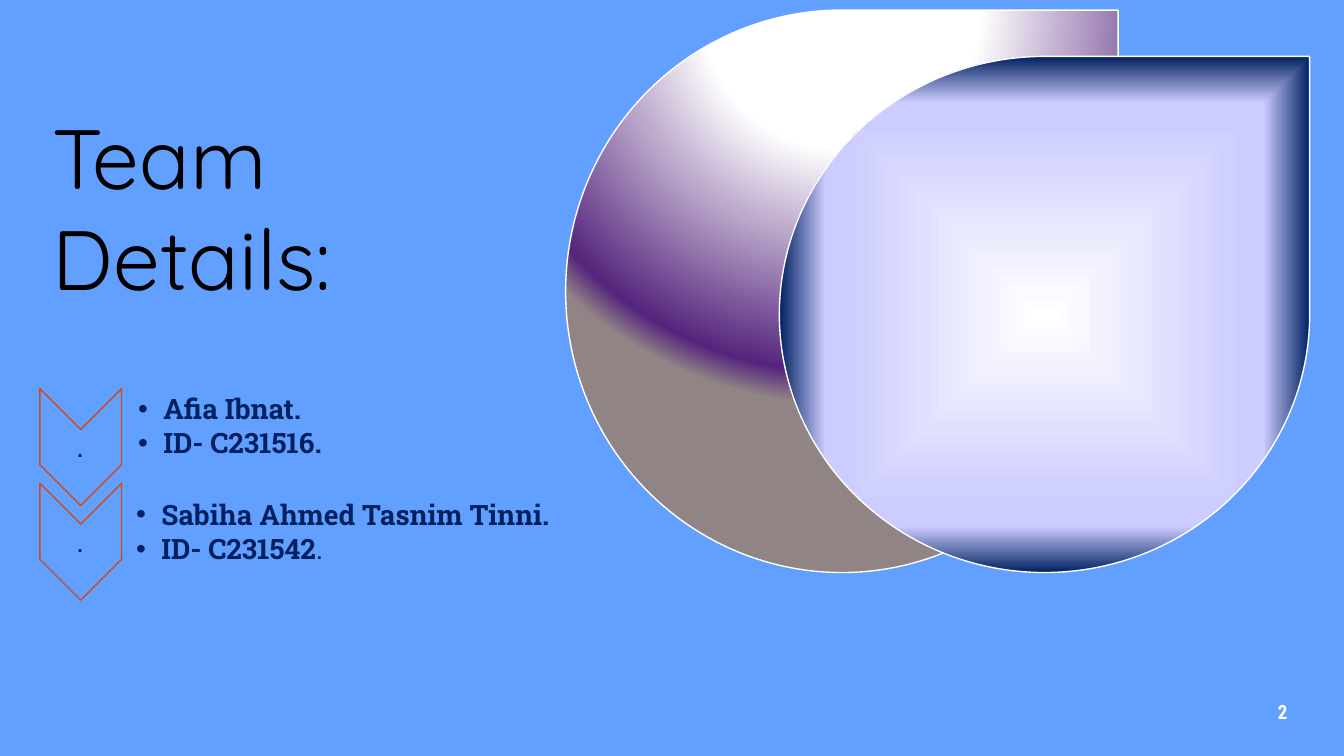
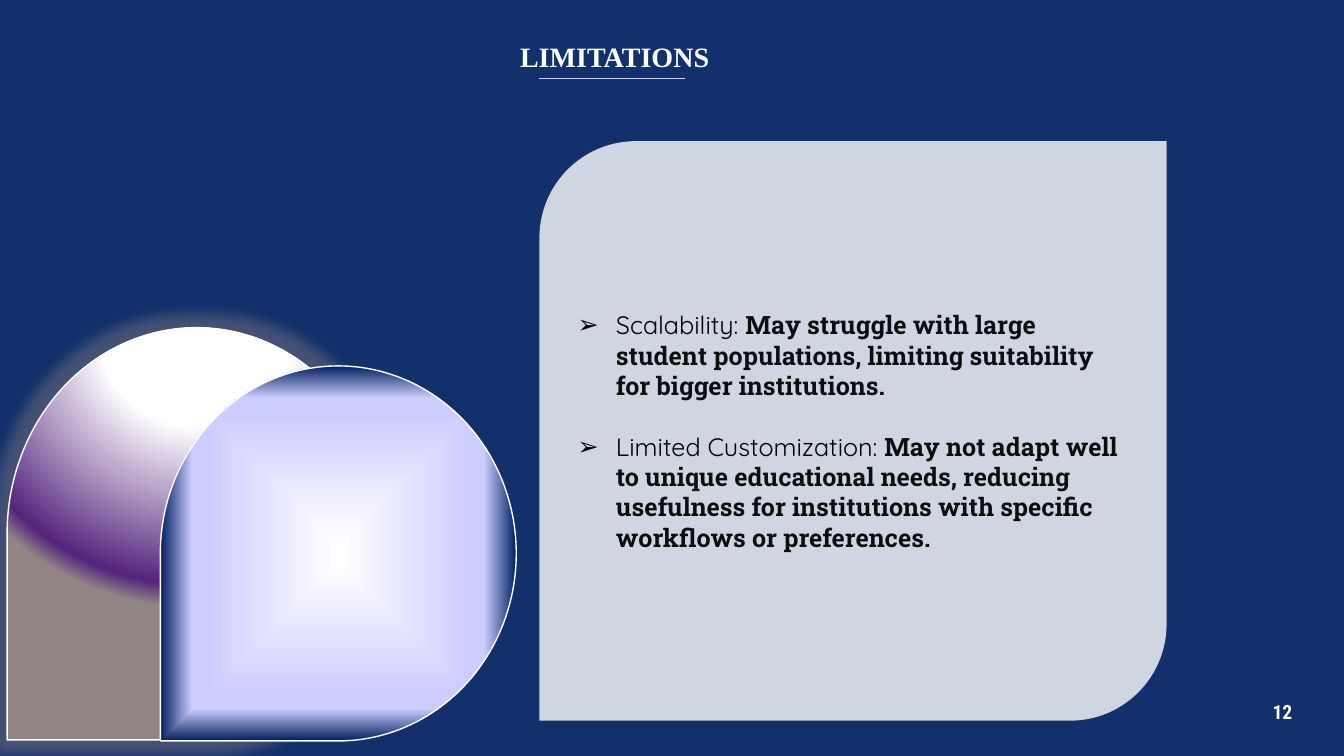
from lxml import etree
from pptx import Presentation
from pptx import util as u
from pptx.dml.color import RGBColor
from pptx.enum import shapes, text
from pptx.oxml import parse_xml
from pptx.oxml.ns import qn

# Shared look: all lengths in inches
WIDE, HIGH = 13.33, 7.5
WHITE, NAVY, LILAC, RUST = "FFFFFF", "002060", "CCCCFF", "D34817"
BLACK, INK, TAUPE = "000000", "0D0D0D", "918485"
SLAB, SANS = "Roboto Slab", "Quicksand"
KIND = shapes.MSO_SHAPE
MID = text.MSO_ANCHOR.MIDDLE
LEFT, CENTER = text.PP_ALIGN.LEFT, text.PP_ALIGN.CENTER
NS = 'xmlns:a="http://schemas.openxmlformats.org/drawingml/2006/main"'

# Gradients: kind of path, focus (left, top, right, bottom), stops
DUSK = ("circle", (50, -80, 50, 180),
        [(35, WHITE), (58, "BBA8CB"), (92, "55257D"), (100, TAUPE)])
GLASS = ("shape", (50, 50, 50, 50),
         [(0, WHITE), (74, LILAC), (82, LILAC), (100, NAVY)])

# Content
TEAM = {
    "page": "2", "back": ("0066FF", 0.62), "title": "Team Details:",
    "drops": [(5.61, 0.1, 5.48, 5.58), (7.73, 0.56, 5.26, 5.12)],
    "people": [
        (1.21, [[("Afia Ibnat.", {})], [("ID- C231516.", {})]]),
        (1.19, [[("Sabiha Ahmed Tasnim Tinni.", {})],
                [("ID- C231542", {}), (".", {"bold": False})]]),
    ],
}
LIMITS = {
    "page": "12", "back": (NAVY, 0.93), "title": "LIMITATIONS",
    "drops": [(0.07, 3.25, 3.76, 4.09), (1.59, 3.63, 3.53, 3.72)],
    "items": [
        ("Scalability: ", "May struggle with large student populations, "
         "limiting suitability for bigger institutions."),
        ("Limited Customization: ", "May not adapt well to unique educational "
         "needs, reducing usefulness for institutions with specific workflows "
         "or preferences."),
    ],
}


def rgb(code):
    return RGBColor.from_string(code)


def tint(code, share):
    """Mix a colour with white, keeping the given share of it."""
    parts = (int(code[i:i + 2], 16) for i in (0, 2, 4))
    return "".join(f"{round(p * share + 255 * (1 - share)):02X}" for p in parts)


def box(at):
    return [u.Inches(v) for v in at]


def write(frame, paras, size=18, face=SLAB, color=BLACK, bold=False, align=LEFT,
          anchor=text.MSO_ANCHOR.TOP, pads=(0.1, 0.05, 0.1, 0.05), bullet=None,
          indent=0, gap=0, lines=None):
    """Fill a frame; each paragraph is a list of (words, format) runs."""
    frame.word_wrap, frame.vertical_anchor = True, anchor
    (frame.margin_left, frame.margin_top,
     frame.margin_right, frame.margin_bottom) = box(pads)
    if isinstance(paras, str):
        paras = [[(paras, {})]]
    for i, runs in enumerate(paras):
        para = frame.add_paragraph() if i else frame.paragraphs[0]
        if bullet:
            props = para._p.get_or_add_pPr()
            props.set("marL", str(u.Inches(indent)))
            props.set("indent", str(-u.Inches(indent)))
            etree.SubElement(props, qn("a:buFont")).set("typeface", "Arial")
            etree.SubElement(props, qn("a:buChar")).set("char", bullet)
        para.alignment = align
        if lines:
            para.line_spacing = lines
        if i:
            para.space_before = u.Pt(gap)
        for words, style in runs:
            run = para.add_run()
            run.text = words
            font = run.font
            font.size = u.Pt(size)
            font.name = style.get("face", face)
            font.bold = style.get("bold", bold)
            font.color.rgb = rgb(style.get("color", color))


def label(slide, at, paras, **style):
    write(slide.shapes.add_textbox(*box(at)).text_frame, paras, **style)


def shape(slide, kind, at, line=None, turn=0):
    """Add an unfilled preset shape without shadow."""
    part = slide.shapes.add_shape(kind, *box(at))
    part.shadow.inherit = False
    part.rotation = turn
    part.fill.background()
    if line:
        part.line.color.rgb = rgb(line)
        part.line.width = u.Pt(1)
    else:
        part.line.fill.background()
    return part


def drop(slide, at, grad, turn=0, glow=0):
    """Teardrop with a path gradient that stays upright when turned."""
    part = shape(slide, KIND.TEAR, at, WHITE, turn)
    props = part._element.spPr
    path, focus, stops = grad
    marks = "".join(f'<a:gs pos="{pos * 1000}"><a:srgbClr val="{code}"/></a:gs>'
                    for pos, code in stops)
    edges = " ".join(f'{side}="{v * 1000}"' for side, v in zip("ltrb", focus))
    props.replace(props.find(qn("a:noFill")), parse_xml(
        f'<a:gradFill {NS} rotWithShape="0"><a:gsLst>{marks}</a:gsLst>'
        f'<a:path path="{path}"><a:fillToRect {edges}/></a:path></a:gradFill>'))
    if glow:
        props.find(qn("a:effectLst")).append(parse_xml(
            f'<a:glow {NS} rad="{u.Pt(glow)}"><a:srgbClr val="{TAUPE}">'
            '<a:alpha val="40000"/></a:srgbClr></a:glow>'))


def start(deck, data, turn=0, glow=0):
    """New slide with background, two teardrops and page number."""
    slide = deck.slides.add_slide(deck.slide_layouts[6])
    fill = slide.background.fill
    fill.solid()
    fill.fore_color.rgb = rgb(tint(*data["back"]))
    rear, front = data["drops"]
    drop(slide, rear, DUSK, turn, glow)
    drop(slide, front, GLASS, turn)
    label(slide, (12.37, 6.86, 0.7, 0.4), data["page"], size=14, bold=True,
          face="Roboto Condensed", color=WHITE, align=CENTER, anchor=MID)
    return slide


def team(deck):
    slide = start(deck, TEAM)
    label(slide, (0.42, 1, 3.59, 2.12), TEAM["title"], size=60, face=SANS)
    # One chevron row per person
    for row, (left, facts) in enumerate(TEAM["people"]):
        top = 4.03 + row * 0.94
        shape(slide, KIND.CHEVRON, (0.22, top, 1.16, 0.81), RUST, 90)
        label(slide, (0.39, top + 0.24, 0.81, 0.35), ".", size=21, color=NAVY,
              align=CENTER, anchor=MID, pads=[0.01] * 4, lines=0.9)
        label(slide, (left, 3.9 + row * 1.05, 4.73, 0.68), facts, size=20,
              color=NAVY, bold=True, anchor=MID, pads=(0.16, 0.01, 0.01, 0.01),
              bullet="•", indent=0.25, gap=3, lines=0.9)


def limits(deck):
    slide = start(deck, LIMITS, turn=180, glow=18)
    # Title and its rule
    label(slide, (5.06, 0.34, 4, 0.44), LIMITS["title"], size=20, bold=True,
          face="Times New Roman", color=WHITE)
    rule = slide.shapes.add_connector(shapes.MSO_CONNECTOR.STRAIGHT,
                                      *box((5.35, 0.78, 6.79, 0.78)))
    rule.line.color.rgb = rgb(LILAC)
    rule.line.width = u.Pt(1.25)
    etree.SubElement(rule._element.spPr, qn("a:effectLst"))
    # Translucent card
    card = shape(slide, KIND.ROUND_2_DIAG_RECTANGLE, (5.35, 1.4, 6.22, 5.75))
    card.fill.solid()
    card.fill.fore_color.rgb = rgb(WHITE)
    tone = card._element.spPr.find(qn("a:solidFill"))[0]
    etree.SubElement(tone, qn("a:alpha")).set("val", "80000")
    paras = [[(head, {"face": SANS, "color": BLACK}), (body, {"bold": True})]
             for head, body in LIMITS["items"]]
    write(card.text_frame, paras, color=INK, anchor=MID, bullet="➢",
          indent=0.38, gap=22)


def main():
    deck = Presentation()
    deck.slide_width, deck.slide_height = box((WIDE, HIGH))
    team(deck)
    limits(deck)
    deck.save("out.pptx")


if __name__ == "__main__":
    main()
